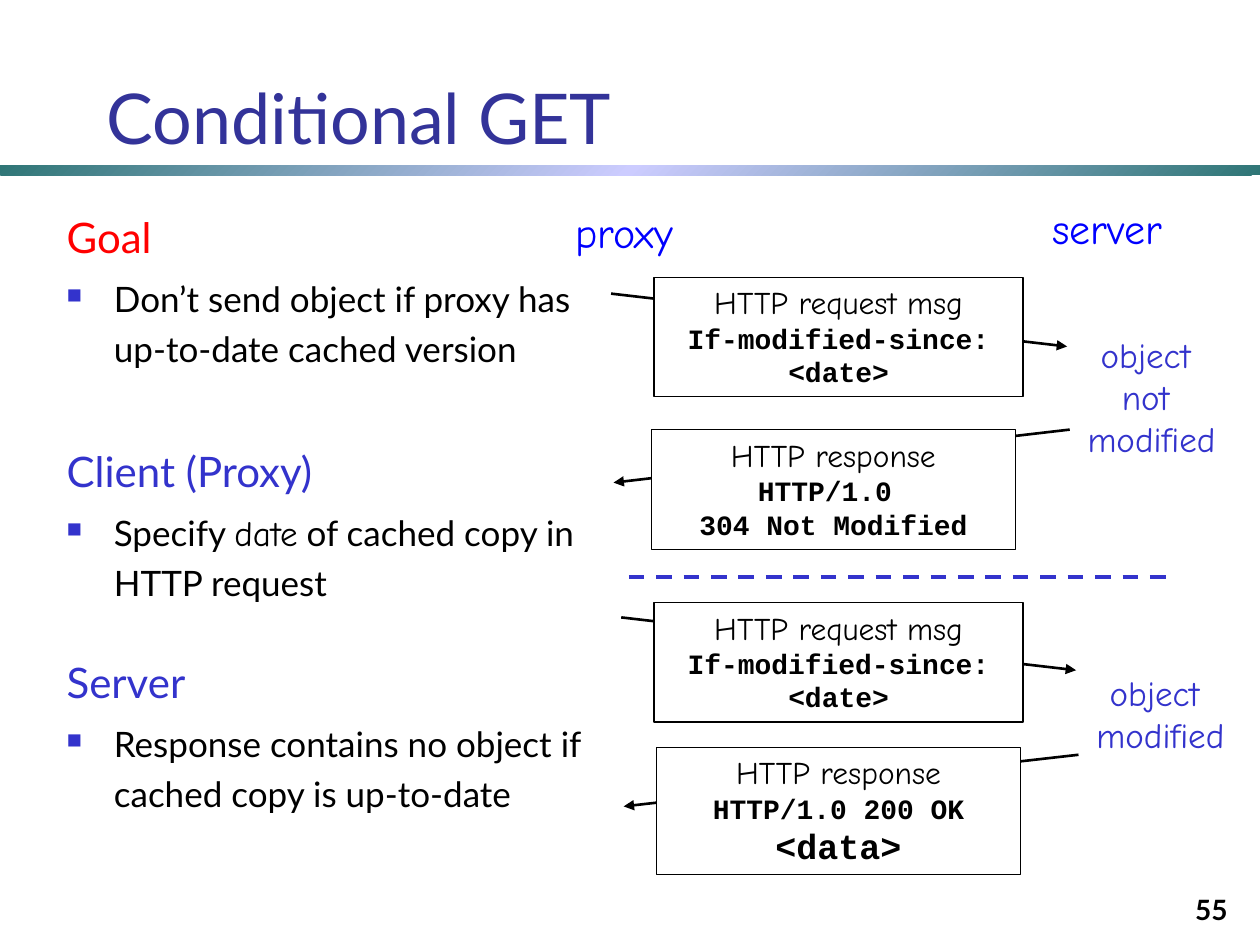
from dataclasses import dataclass

from lxml.etree import SubElement
from pptx import Presentation
from pptx.dml.color import RGBColor
from pptx.enum.dml import MSO_LINE
from pptx.enum.shapes import MSO_CONNECTOR, MSO_SHAPE
from pptx.enum.text import MSO_ANCHOR, MSO_AUTO_SIZE, PP_ALIGN
from pptx.oxml import parse_xml
from pptx.oxml.ns import nsdecls, qn
from pptx.util import Pt


@dataclass(frozen=True)
class Theme:
    sans: str = "Lato"
    hand: str = "Comic Neue"
    mono: str = "Courier New"
    black: str = "000000"
    white: str = "FFFFFF"
    title: str = "333399"
    accent: str = "3333CC"
    goal: str = "FF0000"
    host: str = "0000FF"
    bar_edge: str = "2F7676"
    bar_middle: str = "CCCCFF"
    title_size: float = 40
    heading_size: float = 24
    body_size: float = 20
    message_size: float = 18
    small_size: float = 16


THEME = Theme()


@dataclass(frozen=True)
class Box:
    left: float
    top: float
    width: float
    height: float

    def lengths(self):
        return Pt(self.left), Pt(self.top), Pt(self.width), Pt(self.height)


@dataclass(frozen=True)
class Span:
    text: str
    size: float
    font: str = THEME.sans
    color: str = THEME.black
    bold: bool = False


@dataclass(frozen=True)
class Section:
    heading: Span
    space_before: float
    bullet: tuple[Span, ...]


@dataclass(frozen=True)
class Arrow:
    start: tuple[float, float]
    end: tuple[float, float]


@dataclass(frozen=True)
class Message:
    arrow: Arrow
    box: Box
    lines: tuple[Span, ...]


@dataclass(frozen=True)
class Label:
    box: Box
    lines: tuple[Span, ...]


def body(text: str, font: str = THEME.sans) -> Span:
    return Span(text, THEME.body_size, font)


def code(text: str, size: float = THEME.small_size) -> Span:
    return Span(text, size, THEME.mono, bold=True)


def caption(text: str) -> Span:
    return Span(text, THEME.message_size, THEME.hand)


def host(text: str) -> Span:
    return Span(text, THEME.heading_size, THEME.hand, THEME.host)


def state(text: str) -> Span:
    return Span(text, THEME.body_size, THEME.hand, THEME.accent)


def heading(text: str, color: str = THEME.accent) -> Span:
    return Span(text, THEME.heading_size, color=color)


REQUEST = (caption("HTTP request msg"), code("If-modified-since: <date>"))

SECTIONS = (
    Section(heading("Goal", THEME.goal), 0,
            (body("Don’t send object if proxy has up-to-date cached version"),)),
    Section(heading("Client (Proxy)"), 37.5,
            (body("Specify "), body("date", THEME.hand),
             body(" of cached copy in HTTP request"))),
    Section(heading("Server"), 24.5,
            (body("Response contains no object if cached copy is up-to-date"),)),
)

MESSAGES = (
    Message(Arrow((349.2, 167.8), (609.8, 198)), Box(373.7, 158.4, 211, 68.4), REQUEST),
    Message(Arrow((611.3, 245.5), (350.6, 275.8)), Box(372.2, 245.5, 208.1, 68.4),
            (caption("HTTP response"), code("HTTP/1.0 "), code("304 Not Modified"))),
    Message(Arrow((355, 352.8), (614.9, 383)), Box(373.7, 344.2, 211, 68.4), REQUEST),
    Message(Arrow((616.3, 431.3), (356.4, 460.8)), Box(375.1, 427, 208.1, 72.7),
            (caption("HTTP response"), code("HTTP/1.0 200 OK"),
             code("<data>", THEME.body_size))),
)

LABELS = (
    Label(Box(317.5, 114.5, 78.5, 36), (host("proxy"),)),
    Label(Box(589, 112.3, 87.1, 36), (host("server"),)),
    Label(Box(609.8, 187.2, 96.5, 79.2),
          (state("object "), state("not "), state("modified"))),
    Label(Box(614.9, 380.2, 96.5, 55.4), (state("object "), state("modified"))),
)


def add_run(paragraph, span: Span) -> None:
    run = paragraph.add_run()
    run.text = span.text
    run.font.name = span.font
    run.font.size = Pt(span.size)
    run.font.bold = span.bold
    run.font.color.rgb = RGBColor.from_string(span.color)


def next_paragraph(frame, first: bool):
    return frame.paragraphs[0] if first else frame.add_paragraph()


def write_lines(frame, lines: tuple[Span, ...], alignment) -> None:
    for index, span in enumerate(lines):
        paragraph = next_paragraph(frame, index == 0)
        paragraph.alignment = alignment
        add_run(paragraph, span)


def add_text(slide, box: Box, lines: tuple[Span, ...], alignment,
             anchor=MSO_ANCHOR.TOP, wrap: bool = True) -> None:
    frame = slide.shapes.add_textbox(*box.lengths()).text_frame
    frame.word_wrap = wrap
    frame.vertical_anchor = anchor
    write_lines(frame, lines, alignment)


def add_bar(slide, box: Box) -> None:
    shape = slide.shapes.add_shape(MSO_SHAPE.RECTANGLE, *box.lengths())
    shape.shadow.inherit = False
    shape.line.fill.background()
    stops = ((0, THEME.bar_edge), (50, THEME.bar_middle), (100, THEME.bar_edge))
    stop_xml = "".join(f'<a:gs pos="{position * 1000}"><a:srgbClr val="{color}"/></a:gs>'
                       for position, color in stops)
    gradient = parse_xml(f'<a:gradFill {nsdecls("a")}><a:gsLst>{stop_xml}</a:gsLst>'
                         '<a:lin ang="2700000" scaled="1"/></a:gradFill>')
    shape._element.spPr.find(qn("a:prstGeom")).addnext(gradient)


def add_line(slide, line: Arrow, color: str, width: float):
    ends = [Pt(value) for value in (*line.start, *line.end)]
    connector = slide.shapes.add_connector(MSO_CONNECTOR.STRAIGHT, *ends)
    connector.line.color.rgb = RGBColor.from_string(color)
    connector.line.width = Pt(width)
    SubElement(connector._element.spPr, qn("a:effectLst"))
    return connector


def add_message(slide, message: Message) -> None:
    connector = add_line(slide, message.arrow, THEME.black, 1.5)
    SubElement(connector.line._get_or_add_ln(), qn("a:tailEnd"), type="triangle")
    shape = slide.shapes.add_shape(MSO_SHAPE.RECTANGLE, *message.box.lengths())
    shape.shadow.inherit = False
    shape.fill.solid()
    shape.fill.fore_color.rgb = RGBColor.from_string(THEME.white)
    shape.line.color.rgb = RGBColor.from_string(THEME.black)
    shape.line.width = Pt(0.75)
    frame = shape.text_frame
    frame.word_wrap = True
    frame.auto_size = MSO_AUTO_SIZE.SHAPE_TO_FIT_TEXT
    frame.vertical_anchor = MSO_ANCHOR.TOP
    write_lines(frame, message.lines, PP_ALIGN.CENTER)


def add_bullet(paragraph) -> None:
    properties = paragraph._p.get_or_add_pPr()
    properties.set("marL", str(Pt(27)))
    properties.set("indent", str(Pt(-27)))
    SubElement(SubElement(properties, qn("a:buClr")), qn("a:srgbClr"), val=THEME.accent)
    SubElement(properties, qn("a:buSzPct"), val="60000")
    SubElement(properties, qn("a:buChar"), char="■")


def add_sections(slide, box: Box) -> None:
    frame = slide.shapes.add_textbox(*box.lengths()).text_frame
    frame.word_wrap = True
    for index, section in enumerate(SECTIONS):
        title = next_paragraph(frame, index == 0)
        title.space_before = Pt(section.space_before)
        add_run(title, section.heading)
        bullet = frame.add_paragraph()
        add_bullet(bullet)
        bullet.space_before = Pt(4)
        for span in section.bullet:
            add_run(bullet, span)
    for paragraph in frame.paragraphs:
        paragraph.line_spacing = 1.2


def main() -> None:
    presentation = Presentation()
    presentation.slide_width, presentation.slide_height = Pt(720), Pt(540)
    slide = presentation.slides.add_slide(presentation.slide_layouts[6])

    # Title, bar and slide number
    add_bar(slide, Box(0, 94.3, 720, 5.8))
    add_text(slide, Box(558.7, 496.8, 149.8, 36),
             (Span("55", THEME.small_size, bold=True),), PP_ALIGN.RIGHT, MSO_ANCHOR.BOTTOM)
    add_text(slide, Box(54, 25.9, 666, 68.4),
             (Span("Conditional GET", THEME.title_size, color=THEME.title),),
             PP_ALIGN.LEFT, MSO_ANCHOR.BOTTOM)

    # Explanation on the left
    add_sections(slide, Box(31, 111.6, 331.2, 385.2))

    # Message exchange on the right
    for message in MESSAGES:
        add_message(slide, message)
    for label in LABELS:
        add_text(slide, label.box, label.lines, PP_ALIGN.CENTER, wrap=False)
    divider = add_line(slide, Arrow((359.3, 329.8), (666.7, 329.8)), THEME.accent, 2.25)
    divider.line.dash_style = MSO_LINE.DASH

    presentation.save("out.pptx")


if __name__ == "__main__":
    main()
